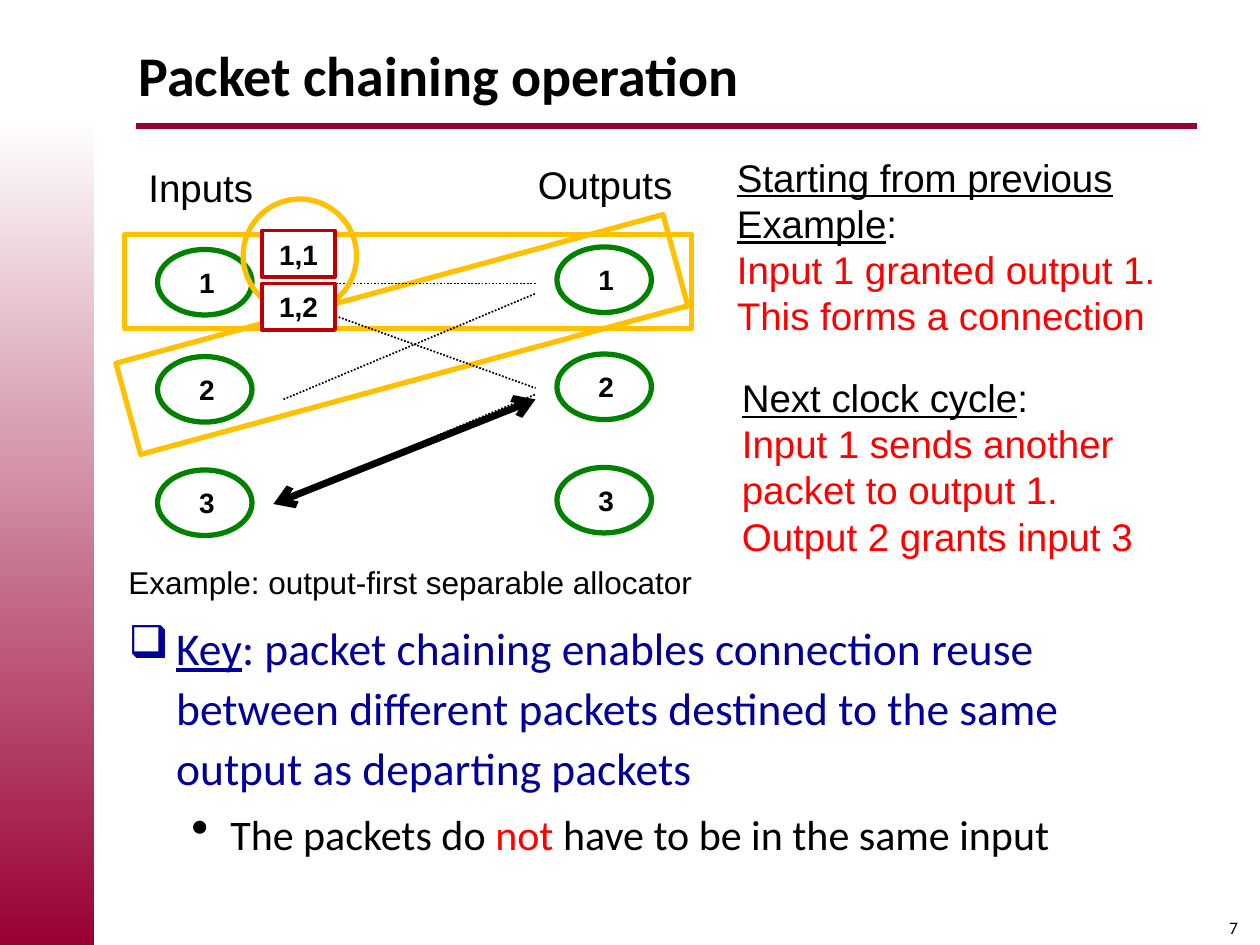
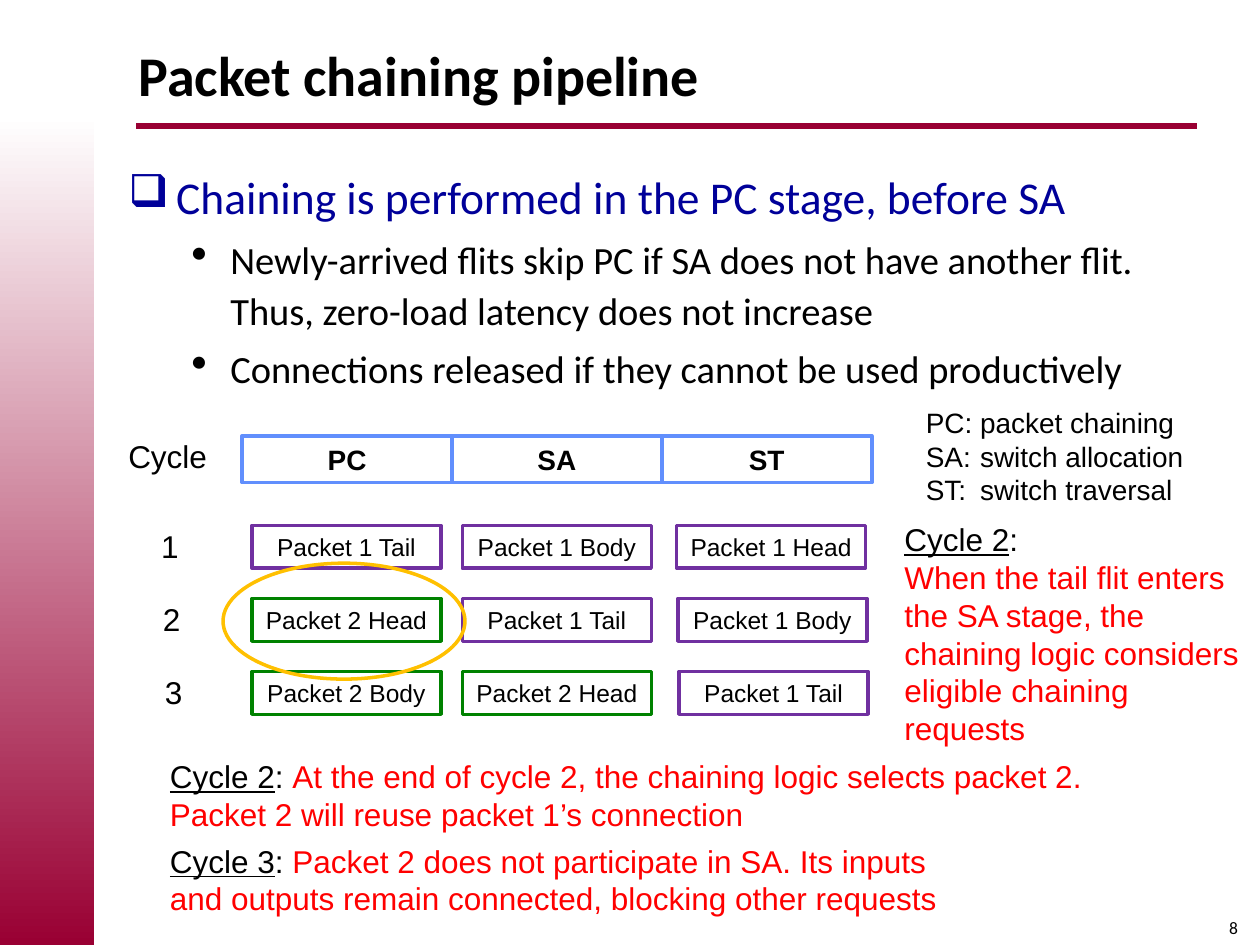
from lxml import etree
from pptx import Presentation
from pptx.dml.color import RGBColor
from pptx.enum.dml import MSO_LINE
from pptx.enum.shapes import MSO_CONNECTOR, MSO_SHAPE
from pptx.enum.text import MSO_ANCHOR, PP_ALIGN
from pptx.oxml.ns import qn
from pptx.util import Inches, Pt

RECT, OVAL = MSO_SHAPE.RECTANGLE, MSO_SHAPE.OVAL
STRAIGHT, DOTTED = MSO_CONNECTOR.STRAIGHT, MSO_LINE.ROUND_DOT
TOP, MIDDLE = MSO_ANCHOR.TOP, MSO_ANCHOR.MIDDLE
LEFT, CENTER = PP_ALIGN.LEFT, PP_ALIGN.CENTER

COLORS = {
    "white": "FFFFFF", "black": "000000", "crimson": "990033", "navy": "000099",
    "red": "FF0000", "green": "008200", "amber": "FFC000", "brick": "C00000",
    "purple": "7030A0", "sky": "618FFD",
}
BODY_FONT, LABEL_FONT = "Calibri", "Arial"


def rgb(name):
    return RGBColor.from_string(COLORS[name])


# ---- Basic parts ----
def add_runs(p, runs, size, font=LABEL_FONT, bold=False):
    """Each run is (text, colour) or (text, colour, underlined)."""
    for text, color, *underline in runs:
        r = p.add_run()
        r.text = text
        r.font.name, r.font.size, r.font.bold = font, Pt(size), bold
        r.font.color.rgb = rgb(color)
        if underline:
            r.font.underline = underline[0]


def add_text(s, box, paragraphs, size, font=LABEL_FONT, bold=False,
             align=LEFT, anchor=TOP, wrap=True):
    tf = s.shapes.add_textbox(*map(Inches, box)).text_frame
    tf.word_wrap, tf.vertical_anchor = wrap, anchor
    for i, runs in enumerate(paragraphs):
        p = tf.add_paragraph() if i else tf.paragraphs[0]
        p.alignment = align
        add_runs(p, runs, size, font, bold)
    return tf


def add_outline(s, kind, box, color, width, fill=None):
    sp = s.shapes.add_shape(kind, *map(Inches, box))
    sp.shadow.inherit = False
    sp.line.color.rgb, sp.line.width = rgb(color), Pt(width)
    if fill:
        sp.fill.solid()
        sp.fill.fore_color.rgb = rgb(fill)
    else:
        sp.fill.background()
    return sp


def add_label(sp, text, size, bold=False, align=CENTER, inset=0.05):
    tf = sp.text_frame
    tf.word_wrap, tf.vertical_anchor = True, MIDDLE
    tf.margin_left, tf.margin_right = Inches(inset), Inches(0.05)
    p = tf.paragraphs[0]
    p.alignment = align
    add_runs(p, [(text, "black")], size, bold=bold)


def add_line(s, start, end, color, width, dotted=False, arrows=False):
    line = s.shapes.add_connector(STRAIGHT, *map(Inches, (*start, *end)))
    line.line.color.rgb, line.line.width = rgb(color), Pt(width)
    if dotted:
        line.line.dash_style = DOTTED
    if arrows:
        ln = line.line._get_or_add_ln()
        for tag in ("a:headEnd", "a:tailEnd"):
            etree.SubElement(ln, qn(tag), type="arrow")
    etree.SubElement(line._element.spPr, qn("a:effectLst"))


# ---- Shared frame and body ----
def add_frame(prs, title, number):
    s = prs.slides.add_slide(prs.slide_layouts[6])
    add_line(s, (1.08, 1), (9.5, 1), "crimson", 3)
    add_text(s, (9.58, 7.23, 0.42, 0.27), [[(str(number), "black")]], 10,
             BODY_FONT, align=CENTER)
    band = add_outline(s, RECT, (0, 0.92, 0.75, 6.58), "white", 1)
    band.line.fill.background()
    band.fill.gradient()
    band.fill.gradient_angle = 270
    for stop, color in zip(band.fill.gradient_stops, ("white", "crimson")):
        stop.color.rgb = rgb(color)
    add_text(s, (1, 0.17, 8.58, 0.83), [[(title, "black")]], 32, BODY_FONT,
             bold=True, anchor=MIDDLE)
    return s


def set_bullet(p, level):
    pPr = p._p.get_or_add_pPr()
    indent, hanging = ((0.38, 0.38), (0.81, 0.31))[level]
    pPr.set("marL", str(Inches(indent)))
    pPr.set("indent", str(-Inches(hanging)))
    if level:
        p.level = level
        clr = etree.SubElement(pPr, qn("a:buClr"))
        etree.SubElement(clr, qn("a:srgbClr"), val=COLORS["black"])
        etree.SubElement(pPr, qn("a:buSzPct"), val="120000")
    etree.SubElement(pPr, qn("a:buChar"), char="❑•"[level])


def add_body(s, top, items):
    """Each item is (level, size, runs)."""
    tf = s.shapes.add_textbox(*map(Inches, (0.92, top, 8.67, 2.17))).text_frame
    tf.word_wrap = True
    for i, (level, size, runs) in enumerate(items):
        p = tf.add_paragraph() if i else tf.paragraphs[0]
        p.line_spacing, p.space_before = 1.1, Pt(0.2 * size)
        set_bullet(p, level)
        add_runs(p, runs, size, BODY_FONT)


# ---- Operation slide ----
def add_ports(s, left, top):
    for i, offset in enumerate((0, 0.85, 1.75), start=1):
        port = add_outline(s, OVAL, (left, top + offset, 0.75, 0.52), "green", 3)
        add_label(port, str(i), 16, bold=True, align=LEFT, inset=0.22)


def add_allocator(s, left, top):
    add_text(s, (left + 0.16, top + 0.02, 1.04, 0.47), [[("Inputs", "black")]], 22,
             wrap=False)
    add_text(s, (left + 3.25, top, 1.28, 0.47), [[("Outputs", "black")]], 22,
             wrap=False)
    add_ports(s, left + 0.33, top + 0.75)
    add_ports(s, left + 3.5, top + 0.73)
    add_text(s, (left, top + 3.19, 4.72, 0.4),
             [[("Example: output-first separable allocator", "black")]], 18, wrap=False)

    # Connections and requests
    add_outline(s, RECT, (left + 0.07, top + 0.63, 4.5, 0.75), "amber", 3)
    output_x = left + 3.33
    add_line(s, (left + 1.25, top + 2.77), (output_x, top + 1.94), "black", 4,
             arrows=True)
    tilted = add_outline(s, RECT, (left + 0.02, top + 1.05, 4.5, 0.75), "amber", 3)
    tilted.rotation = 344.8
    for x, y, output_y in ((1.25, 1.02, 1.02), (1.33, 2.74, 1.9),
                           (1.33, 1.94, 1.1), (1.25, 1.1, 1.85)):
        add_line(s, (left + x, top + y), (output_x, top + output_y), "black", 1,
                 dotted=True)

    # Packets waiting at input 1
    add_outline(s, OVAL, (left + 1.01, top + 0.35, 0.9, 0.9), "amber", 3)
    for i, packet in enumerate(("1,1", "1,2")):
        sp = add_outline(s, RECT, (left + 1.16, top + 0.6 + 0.42 * i, 0.58, 0.37),
                         "brick", 2, fill="white")
        add_label(sp, packet, 16, bold=True)


def build_operation(prs):
    s = add_frame(prs, "Packet chaining operation", 7)
    add_text(s, (5.75, 1.17, 3.58, 1.58), [
        [("Starting from previous", "black", True)],
        [("Example", "black", True), (":", "black")],
        [("Input 1 granted output 1.", "red")],
        [("This forms a connection", "red")]], 22)
    add_text(s, (5.79, 2.92, 3.5, 1.58), [
        [("Next clock cycle", "black", True), (":", "black")],
        [("Input 1 sends another packet to output 1.", "red")],
        [("Output 2 grants input 3", "red")]], 22)
    add_body(s, 4.83, [
        (0, 26, [("Key", "navy", True),
                 (": packet chaining enables connection reuse between different "
                  "packets destined to the same output as departing packets", "navy")]),
        (1, 24, [("The packets do ", "black"), ("not", "red"),
                 (" have to be in the same input", "black")])])
    add_allocator(s, 0.92, 1.23)


# ---- Pipeline slide ----
def add_pipeline(s, left, top):
    add_text(s, (left, top, 0.83, 0.42), [[("Cycle", "black")]], 18)
    for i, stage in enumerate(("PC", "SA", "ST")):
        sp = add_outline(s, RECT, (left + 1 + 1.665 * i, top + 0.04, 1.67, 0.37),
                         "sky", 2)
        add_label(sp, stage, 16, bold=True)

    cycles = (("1 Tail", "1 Body", "1 Head"),
              ("2 Head", "1 Tail", "1 Body"),
              ("2 Body", "2 Head", "1 Tail"))
    for row, flits in enumerate(cycles):
        y = top + 0.75 + 0.58 * row
        add_text(s, (left + 0.26 + 0.015 * row, y - 0.04, 0.34, 0.4),
                 [[(str(row + 1), "black")]], 18, wrap=False)
        for x, flit in zip((1.08, 2.75, 4.45 + 0.01 * row), flits):
            color = "purple" if flit.startswith("1") else "green"
            sp = add_outline(s, RECT, (left + x, y, 1.5, 0.34), color, 2)
            add_label(sp, "Packet " + flit, 14)
    add_outline(s, OVAL, (left + 0.85, top + 1.05, 1.92, 0.92), "amber", 2)


def add_legend(s, left, top):
    tf = add_text(s, (left, top, 2.58, 0.91), [
        [("PC:\tpacket chaining", "black")],
        [("SA:\tswitch allocation", "black")],
        [("ST:\tswitch traversal", "black")]], 16)
    for p in tf.paragraphs:
        tabs = etree.SubElement(p._p.get_or_add_pPr(), qn("a:tabLst"))
        etree.SubElement(tabs, qn("a:tab"), pos=str(Inches(0.43)), algn="l")


def build_pipeline(prs):
    s = add_frame(prs, "Packet chaining pipeline", 8)
    add_body(s, 1.25, [
        (0, 26, [("Chaining is performed in the PC stage, before SA", "navy")]),
        (1, 22, [("Newly-arrived flits skip PC if SA does not have another flit. "
                  "Thus, zero-load latency does not increase", "black")]),
        (1, 22, [("Connections released if they cannot be used productively",
                  "black")])])
    add_pipeline(s, 0.92, 3.42)
    add_legend(s, 7.25, 3.17)
    add_text(s, (7.08, 4.08, 2.92, 1.92), [
        [("Cycle 2", "black", True), (":", "black")],
        [("When the tail flit enters the SA stage, the chaining logic considers "
          "eligible chaining requests", "red")]], 18)
    notes = (
        (5.96, 7.44, "Cycle 2",
         "At the end of cycle 2, the chaining logic selects packet 2.",
         "Packet 2 will reuse packet 1’s connection"),
        (6.63, 6.34, "Cycle 3",
         "Packet 2 does not participate in SA. Its inputs",
         "and outputs remain connected, blocking other requests"))
    for top, width, cycle, first, second in notes:
        add_text(s, (1.25, top, width, 0.71), [
            [(cycle, "black", True), (": ", "black"), (first, "red")],
            [(second, "red")]], 18, wrap=False)


def main():
    prs = Presentation()
    prs.slide_width, prs.slide_height = Inches(10), Inches(7.5)
    build_operation(prs)
    build_pipeline(prs)
    prs.save("out.pptx")


if __name__ == "__main__":
    main()
